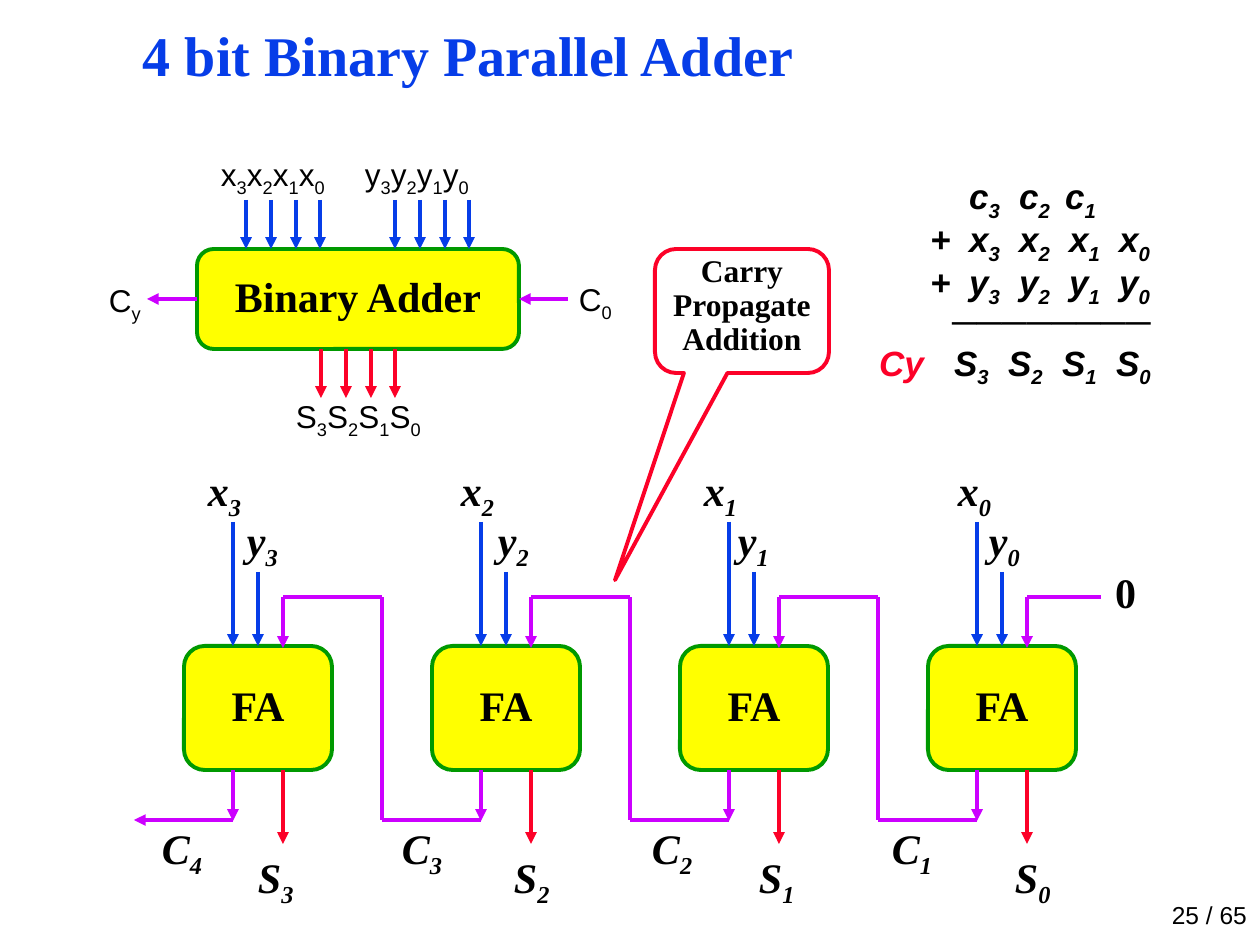
from lxml import etree
from pptx import Presentation
from pptx.dml.color import RGBColor
from pptx.enum.shapes import MSO_CONNECTOR, MSO_SHAPE
from pptx.enum.text import MSO_ANCHOR, PP_ALIGN
from pptx.oxml.ns import qn
from pptx.util import Pt

LEFT, MID, RIGHT = PP_ALIGN.LEFT, PP_ALIGN.CENTER, PP_ALIGN.RIGHT
TOP, CENTER, BOTTOM = MSO_ANCHOR.TOP, MSO_ANCHOR.MIDDLE, MSO_ANCHOR.BOTTOM
ROUND = MSO_SHAPE.ROUNDED_RECTANGLE
CALLOUT = MSO_SHAPE.ROUNDED_RECTANGULAR_CALLOUT
STRAIGHT = MSO_CONNECTOR.STRAIGHT
BLACK = RGBColor(0, 0, 0)
BLUE = RGBColor(0x06, 0x3D, 0xE8)
RED = RGBColor(0xFC, 0x01, 0x28)
PURPLE = RGBColor(0xCC, 0x00, 0xFF)
GREEN = RGBColor(0x00, 0x99, 0x00)
YELLOW = RGBColor(0xFF, 0xFF, 0x00)
SERIF, SANS = "Times New Roman", "Arial"
PX = 914400 / 126

deck = Presentation()
deck.slide_width, deck.slide_height = int(1260 * PX), int(945 * PX)
slide = deck.slides.add_slide(deck.slide_layouts[6])
shapes = slide.shapes


def write(shape, rows, size, face, bold=False, slant=False, color=BLACK,
          align=LEFT, anchor=TOP, lead=0.9):
    frame = shape.text_frame
    frame.word_wrap = True
    frame.vertical_anchor = anchor
    frame.margin_left = frame.margin_right = 0
    frame.margin_top = frame.margin_bottom = 0
    for n, (text, tabs) in enumerate(rows):
        para = frame.add_paragraph() if n else frame.paragraphs[0]
        para.alignment = align
        para.line_spacing = lead
        if tabs:
            stops = etree.SubElement(para._p.get_or_add_pPr(), qn("a:tabLst"))
            for tab in tabs:
                etree.SubElement(stops, qn("a:tab"), pos=str(int(tab * PX)), algn="l")
        first, *rest = text.split("_")
        parts = [(first, False)]
        for part in rest:
            parts += [(part[0], True), (part[1:], False)]
        for word, low in parts:
            if not word:
                continue
            run = para.add_run()
            run.text = word
            font = run.font
            font.size, font.name = Pt(size), face
            font.bold, font.italic = bold, slant
            font.color.rgb = color
            if low:
                run._r.get_or_add_rPr().set("baseline", "-25000")


def draw(x1, y1, x2, y2, color, arrow=True):
    line = shapes.add_connector(STRAIGHT, *(int(v * PX) for v in (x1, y1, x2, y2)))
    line.line.color.rgb = color
    line.line.width = Pt(2.25)
    if arrow:
        etree.SubElement(line.line._get_or_add_ln(), qn("a:tailEnd"), type="triangle")
    etree.SubElement(line._element.spPr, qn("a:effectLst"))
    return line


labels = [
    (143, 30, 1070, 60, "4 bit Binary Parallel Adder", (), 32, SERIF, True, False, BLUE, LEFT, TOP, 0.87),
    (1108, 895, 139, 34, "25 / 65", (), 14, SANS, False, False, BLACK, RIGHT, BOTTOM, 1.0),
    (208, 465, 794, 52, "x_3\tx_2\tx_1\tx_0", (253, 496, 750), 24, SERIF, True, True),
    (247, 515, 794, 52, "y_3\ty_2\ty_1\ty_0", (251, 491, 742), 24, SERIF, True, True),
    (258, 852, 819, 52, "S_3\tS_2\tS_1\tS_0", (256, 501, 757), 24, SERIF, True, True),
    (162, 823, 819, 52, "C_4\tC_3\tC_2\tC_1", (240, 490, 730), 24, SERIF, True, True),
    (1101, 572, 49, 45, "0", (), 24, SERIF, True, False, BLACK, MID),
    (221, 156, 140, 39, "x_3x_2x_1x_0", (), 18, SANS),
    (365, 156, 140, 39, "y_3y_2y_1y_0", (), 18, SANS),
    (296, 398, 149, 39, "S_3S_2S_1S_0", (), 18, SANS),
    (579, 281, 49, 39, "C_0", (), 18, SANS),
    (109, 282, 49, 39, "C_y", (), 18, SANS),
]
for x, y, w, h, text, tabs, *style in labels:
    box = shapes.add_textbox(*(int(v * PX) for v in (x, y, w, h)))
    write(box, [(text, tabs)], *style)

cols = (51, 90, 140, 190, 240)
rows = [
    ("\tc_3\tc_2\tc_1", (90, 140, 186)),
    ("\t+\tx_3\tx_2\tx_1\tx_0", cols),
    ("\t+\ty_3\ty_2\ty_1\ty_0", cols),
    ("\t────────", (73,)),
    ("Cy_\tS_3\tS_2\tS_1\tS_0", (75, 129, 183, 237)),
]
total = shapes.add_textbox(*(int(v * PX) for v in (879, 175, 298, 211)))
write(total, rows, 20, SANS, True, True)
total.text_frame.paragraphs[-1].runs[0].font.color.rgb = RED

blocks = [(184 + 248 * n, 646, 148, 124, "FA") for n in range(4)]
blocks.append((197, 249, 322, 100, "Binary Adder"))
cells = []
for x, y, w, h, text in blocks:
    cell = shapes.add_shape(ROUND, *(int(v * PX) for v in (x, y, w, h)))
    cell.shadow.inherit = False
    cell.fill.solid()
    cell.fill.fore_color.rgb = YELLOW
    cell.line.color.rgb = GREEN
    cell.line.width = Pt(2.25)
    write(cell, [(text, ())], 24, SERIF, True, align=MID, anchor=CENTER)
    cells.append(cell)
*adders, whole = cells

for n, adder in enumerate(adders):
    mid = 258 + 248 * n
    near, far = mid - 25, mid + 25
    draw(near, 522, near, 646, BLUE)
    draw(mid, 572, mid, 646, BLUE).end_connect(adder, 0)
    draw(far, 597, far, 648, PURPLE)
    draw(far, 770, far, 844, RED)
    draw(near, 770, near, 821, PURPLE)
    draw(near, 820, near - 99, 820, PURPLE, n == 0)
    if n:
        draw(near - 99, 820, near - 99, 597, PURPLE, False)
        draw(near - 99, 597, near - 198, 597, PURPLE, False)
draw(1101, 597, 1027, 597, PURPLE, False)

for start, top, color in ((246, 200, BLUE), (395, 200, BLUE), (321, 349, RED)):
    for n in range(4):
        x = start + round(24.8 * n)
        draw(x, top, x, top + 49, color)
draw(568, 299, 519, 299, PURPLE).end_connect(whole, 3)
draw(197, 299, 147, 299, PURPLE).begin_connect(whole, 1)

note = shapes.add_shape(CALLOUT, *(int(v * PX) for v in (655, 249, 174, 124)))
note.shadow.inherit = False
note.fill.background()
note.line.color.rgb = RED
note.line.width = Pt(2.25)
for n, value in enumerate((-0.73, 2.17, 0.17)):
    note.adjustments[n] = value
write(note, [("Carry Propagate Addition", ())], 18, SERIF, True, align=MID)

deck.save("out.pptx")
